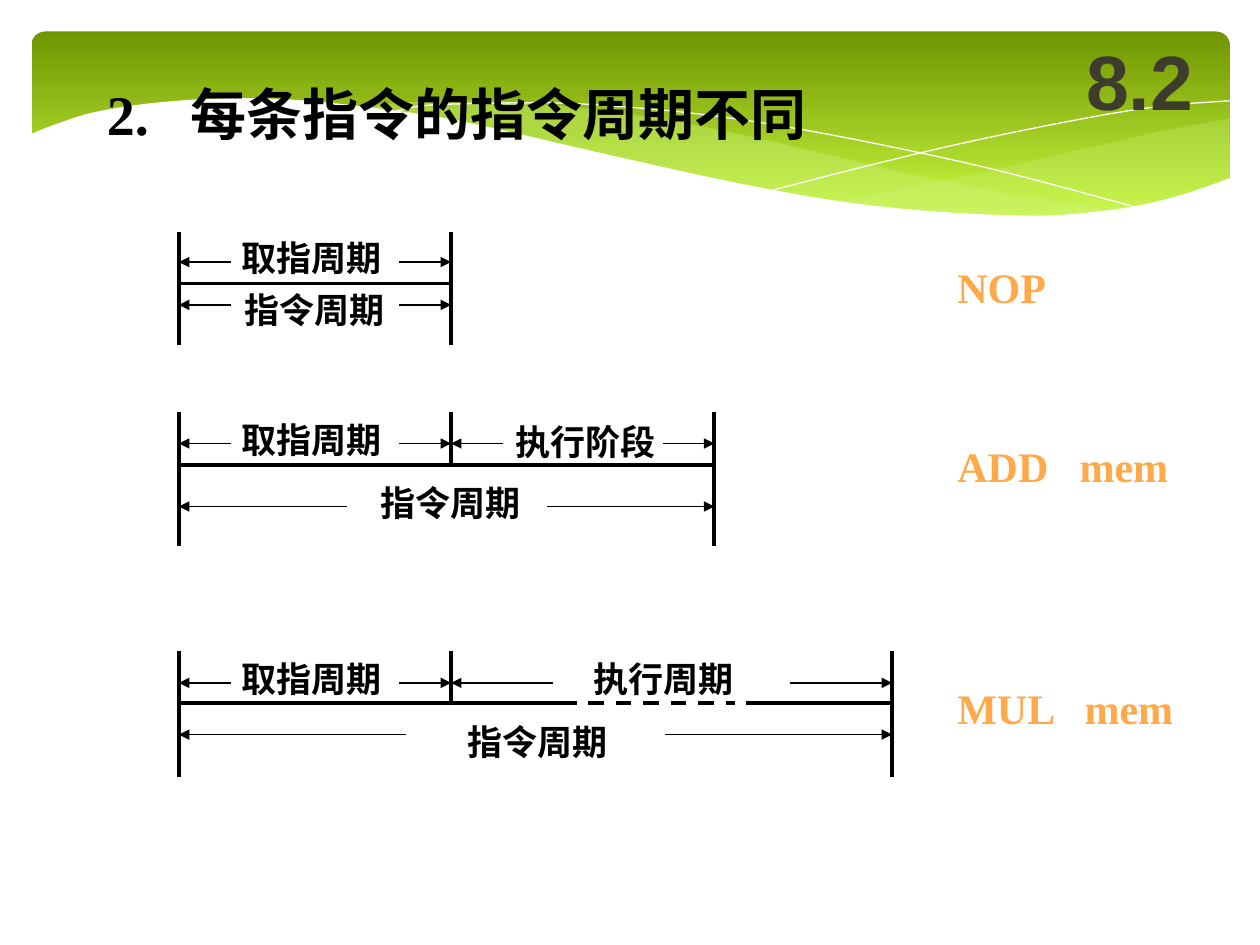
from dataclasses import dataclass
from itertools import chain
from lxml.etree import SubElement
from pptx import Presentation
from pptx.dml.color import RGBColor as RGB
from pptx.enum.dml import MSO_LINE_DASH_STYLE as Dash
from pptx.enum.shapes import MSO_CONNECTOR as Link, MSO_SHAPE as Shape
from pptx.enum.text import MSO_ANCHOR as Anchor, PP_ALIGN as Align
from pptx.oxml.ns import qn
from pptx.util import Inches, Pt


@dataclass(frozen=True)
class Theme:
    """Colours, fonts, type sizes and line widths."""
    ink: str = "000000"
    paper: str = "FFFFFF"
    dark: str = "6F9500"
    light: str = "D0FF44"
    mist: str = "CAF278"
    accent: str = "FFA94A"
    mark: str = "3E3D2D"
    serif: str = "Times New Roman"
    sans: str = "Arial"
    title: int = 32
    label: int = 20
    code: int = 24
    number: int = 44
    thick: float = 2.25
    thin: float = 0.75


@dataclass(frozen=True)
class Span:
    """A named stretch of time, measured from the corner of its row."""
    name: str
    start: float
    end: float
    y: float
    reach: float
    left: float
    top: float


THEME = Theme()
FETCH, WHOLE = "取指周期", "指令周期"
SPLIT = 2.16
ROWS = [
    ((1.42, 1.84, 2.16, 0.9), 0.41, [(0, 2.16, None)],
     [Span(FETCH, 0, SPLIT, 0.24, 0.41, 0.4, -0.01),
      Span(WHOLE, 0, SPLIT, 0.58, 0.41, 0.42, 0.4)]),
    ((1.42, 3.27, 4.25, 1.06), 0.42, [(0, 4.25, None)],
     [Span(FETCH, 0, SPLIT, 0.25, 0.41, 0.4, 0),
      Span("执行阶段", SPLIT, 4.25, 0.25, 0.41, 2.57, 0.02),
      Span(WHOLE, 0, 4.25, 0.75, 1.33, 1.5, 0.5)]),
    ((1.42, 5.17, 5.66, 1), 0.41,
     [(0, 3.16, None), (3.25, 4.41, Dash.DASH), (4.5, 5.66, None)],
     [Span(FETCH, 0, SPLIT, 0.25, 0.41, 0.4, 0),
      Span("执行周期", SPLIT, 5.66, 0.25, 0.81, 3.19, 0),
      Span(WHOLE, 0, 5.66, 0.66, 1.8, 2.19, 0.5)]),
]
CODES = [("NOP", 2.03, 1), ("ADD\tmem", 3.45, 0.97), ("MUL\tmem", 5.37, 1.01)]

RIGHT = [(9.51, 0.69), (9.51, 1.17), (9.24, 1.27), (8.8, 1.38), (8.29, 1.45),
         (7.78, 1.47), (7.2, 1.44), (6.36, 1.35), (6.81, 1.27), (7.54, 1.12),
         (8.36, 0.93), (8.96, 0.79), (9.51, 0.69)]
LEFT = [(8.68, 1.42), (8.12, 1.35), (7.16, 1.17), (6.04, 0.91), (5.3, 0.75),
        (4.64, 0.64), (3.95, 0.57), (3.36, 0.55), (2.88, 0.57), (2.61, 0.61),
        (3.17, 0.69), (3.79, 0.81), (4.66, 1.01), (5.59, 1.21), (6.4, 1.36),
        (7.11, 1.44), (7.82, 1.48), (8.32, 1.46), (8.68, 1.42)]
FALL = [(2.84, 0.65), (3.1, 0.59), (3.62, 0.57), (4.25, 0.57), (5.07, 0.63),
        (5.83, 0.73), (6.7, 0.89), (7.7, 1.11), (8.82, 1.41)]
RISE = [(5.88, 1.26), (6.7, 1.05), (7.51, 0.86), (8.41, 0.68), (8.99, 0.59),
        (9.51, 0.55)]
EDGE = [(9.52, 1.16), (9.15, 1.29), (8.74, 1.39), (8.25, 1.45), (7.84, 1.46),
        (7.19, 1.43), (6.43, 1.35), (5.54, 1.19), (4.5, 0.96), (3.4, 0.71),
        (2.67, 0.6), (2.05, 0.54), (1.51, 0.53), (0.94, 0.57), (0.5, 0.64),
        (0.21, 0.73), (-0.02, 0.82)]


def bend(knots, steps=5):
    """Return points along a smooth curve through the knots."""
    ends = [knots[0], *knots, knots[-1]]
    points = []
    for a, b, c, d in zip(ends, ends[1:], ends[2:], ends[3:]):
        for t in (i / steps for i in range(steps)):
            points.append(tuple(
                (2 * q + (r - p) * t + (2 * p - 5 * q + 4 * r - s) * t ** 2
                 + (3 * q - p - 3 * r + s) * t ** 3) / 2
                for p, q, r, s in zip(a, b, c, d)))
    return points + [knots[-1]]


def trace(slide, box, points, fill=None, alpha=100):
    """Draw a filled outline, or a white hairline when there is no fill."""
    spots = [(Inches(box[0] + x), Inches(box[1] + y)) for x, y in points]
    pen = slide.shapes.build_freeform(*spots[0], scale=1.0)
    pen.add_line_segments(spots[1:], close=bool(fill))
    shape = pen.convert_to_shape()
    shape.shadow.inherit = False
    if fill:
        shape.line.fill.background()
        shape.fill.solid()
        shape.fill.fore_color.rgb = RGB.from_string(fill)
        tint = next(shape.fill._xPr.iter(qn("a:srgbClr")))
        SubElement(tint, qn("a:alpha"), val=str(alpha * 1000))
    else:
        shape.fill.background()
        shape.line.color.rgb = RGB.from_string(THEME.paper)
        shape.line.width = Pt(0)


def line(slide, start, end, width, dash=None, arrow=False):
    """Draw a straight line, with an arrowhead at its end if asked."""
    link = slide.shapes.add_connector(
        Link.STRAIGHT, *(Inches(v) for v in chain(start, end)))
    link.line.color.rgb = RGB.from_string(THEME.ink)
    link.line.width = Pt(width)
    if dash:
        link.line.dash_style = dash
    if arrow:
        SubElement(link.line._get_or_add_ln(), qn("a:tailEnd"), type="triangle")
    SubElement(link._element.spPr, qn("a:effectLst"))


def write(slide, box, text, size, color=THEME.ink, font=THEME.serif,
          wrap=True, tab=None):
    """Place one bold line of text and return its frame."""
    frame = slide.shapes.add_textbox(*(Inches(v) for v in box)).text_frame
    frame.word_wrap = wrap
    para = frame.paragraphs[0]
    para.text = text
    if tab:
        stops = SubElement(para._p.get_or_add_pPr(), qn("a:tabLst"))
        SubElement(stops, qn("a:tab"), pos=str(Inches(tab)), algn="l")
    para.font.size, para.font.name, para.font.bold = Pt(size), font, True
    para.font.color.rgb = RGB.from_string(color)
    return frame


def banner(slide, box):
    """Draw the green band with its waves."""
    _, _, wide, high = box
    band = slide.shapes.add_shape(
        Shape.ROUNDED_RECTANGLE, *(Inches(v) for v in box))
    band.adjustments[0] = 0.07
    band.shadow.inherit = False
    band.line.fill.background()
    band.fill.gradient()
    band.fill.gradient_angle = 270
    for stop, at, tone in zip(band.fill.gradient_stops, (0, 1),
                              (THEME.dark, THEME.light)):
        stop.position = at
        stop.color.rgb = RGB.from_string(tone)
    trace(slide, box, RIGHT, THEME.mist, 29)
    trace(slide, box, bend(LEFT), THEME.mist, 40)
    trace(slide, box, bend(FALL))
    trace(slide, box, bend(RISE))
    base = [(-0.02, high + 0.43), (wide + 0.01, high + 0.43)]
    trace(slide, box, bend(EDGE) + base, THEME.paper)


def row(slide, box, axis, parts, spans):
    """Draw one timing row: axis, ticks, arrows and labels."""
    x, y, wide, high = box
    for start, end, dash in parts:
        line(slide, (x + start, y + axis), (x + end, y + axis),
             THEME.thick, dash)
    for tick in sorted({0, SPLIT, wide}):
        drop = axis if 0 < tick < wide else high
        line(slide, (x + tick, y), (x + tick, y + drop), THEME.thick)
    for span in spans:
        for end, way in ((span.start, 1), (span.end, -1)):
            line(slide, (x + end + way * span.reach, y + span.y),
                 (x + end, y + span.y), THEME.thin, arrow=True)
        write(slide, (x + span.left, y + span.top, 1.31, 0.44), span.name,
              THEME.label, wrap=False)


def build():
    """Build the slide and save it."""
    deck = Presentation()
    deck.slide_width, deck.slide_height = Inches(10), Inches(7.5)
    slide = deck.slides.add_slide(deck.slide_layouts[6])
    banner(slide, (0.25, 0.25, 9.51, 1.56))
    write(slide, (0.75, 0.58, 6.25, 0.64), "2.\t每条指令的指令周期不同",
          THEME.title, tab=0.66)
    for parts in ROWS:
        row(slide, *parts)
    for text, top, tab in CODES:
        write(slide, (7.5, top, 2.4, 0.5), text, THEME.code, THEME.accent,
              tab=tab)
    frame = write(slide, (8.42, 0.17, 1.25, 0.92), "8.2", THEME.number,
                  THEME.mark, THEME.sans)
    frame.vertical_anchor = Anchor.MIDDLE
    frame.paragraphs[0].alignment = Align.CENTER
    deck.save("out.pptx")


if __name__ == "__main__":
    build()
